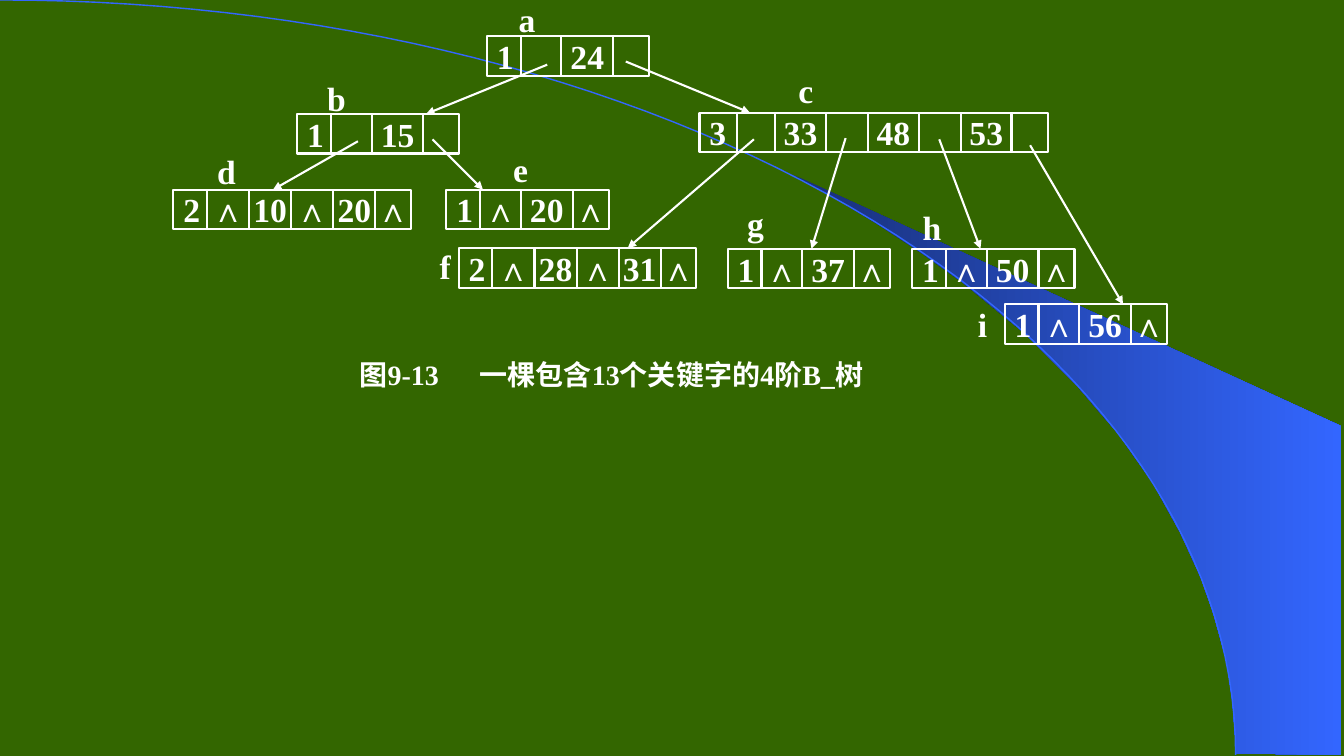
import math
from itertools import accumulate
from lxml import etree
from pptx import Presentation
from pptx import util as u
from pptx.dml.color import RGBColor
from pptx.enum import shapes, text
from pptx.oxml.ns import qn

WHITE, GREEN, NAVY, BLUE = "FFFFFF", "336600", "182F76", "3366FF"
LATIN, CJK = "Times New Roman", "Noto Sans CJK SC"
ROW_H, INSET = 1.0, 0.25

ONE_KEY = [0.85, 1.03, 1.3, 0.91]
TWO_KEYS = [0.85, 1.06, 1.06, 1.06, 1.06, 0.9]
THREE_KEYS = [0.94, 0.97, 1.27, 1.07, 1.27, 1.07, 1.27, 0.93]

NODES = {
    "a": (12.27, 0.91, ONE_KEY, ["1", "", "24", ""], (0.51, -0.94)),
    "b": (7.49, 2.87, ONE_KEY, ["1", "", "15", ""], (0.49, -0.91)),
    "c": (17.63, 2.84, THREE_KEYS, ["3", "", "33", "", "48", "", "53", ""], (2.18, -1.06)),
    "d": (4.37, 4.78, TWO_KEYS, ["2", "∧", "10", "∧", "20", "∧"], (0.84, -0.97)),
    "e": (11.25, 4.78, ONE_KEY, ["1", "∧", "20", "∧"], (1.37, -1.02)),
    "f": (11.56, 6.25, TWO_KEYS, ["2", "∧", "28", "∧", "31", "∧"], (-0.84, -0.05)),
    "g": (18.34, 6.27, ONE_KEY, ["1", "∧", "37", "∧"], (0.2, -1.14)),
    "h": (22.99, 6.27, ONE_KEY, ["1", "∧", "50", "∧"], (0, -1.06)),
    "i": (25.32, 7.67, ONE_KEY, ["1", "∧", "56", "∧"], (-1.06, 0)),
}

POINTERS = [
    ("a", 1.52, 0.72, "b", 3.25),
    ("a", 3.5, 0.64, "c", 1.27),
    ("b", 1.53, 0.69, "d", 2.51),
    ("b", 3.41, 0.64, "e", 0.92),
    ("c", 1.37, 0.67, "f", 4.26),
    ("c", 3.68, 0.64, "g", 2.11),
    ("c", 6.04, 0.67, "h", 1.72),
    ("c", 8.33, 0.82, "i", 2.98),
]

WEDGE = [
    (11.2, 14.6), (13.84, 14.63), (13.84, 6.35), (0, 0), (1.17, 0.66),
    (2.13, 1.24), (3.23, 1.96), (4.29, 2.72), (5.84, 3.99), (7.21, 5.36),
    (8.23, 6.55), (9.09, 7.77), (9.78, 9.02), (10.29, 10.13),
    (10.62, 11.07), (10.95, 12.27), (11.1, 13.28),
]


def rgb(value):
    return RGBColor.from_string(value)


def freeform(s, x, y, points, close):
    pts = [(u.Cm(x + px), u.Cm(y + py)) for px, py in points]
    builder = s.shapes.build_freeform(*pts[0])
    builder.add_line_segments(pts[1:], close=close)
    sp = builder.convert_to_shape()
    sp.shadow.inherit = False
    return sp


def backdrop(s, x, y, w, h):
    s.background.fill.solid()
    s.background.fill.fore_color.rgb = rgb(GREEN)

    wedge = freeform(s, x + 19.96, y + 4.39, WEDGE, True)
    wedge.line.fill.background()
    wedge.fill.gradient()
    wedge.fill.gradient_angle = 0
    for stop, position, color in zip(wedge.fill.gradient_stops, (0, 1), (NAVY, BLUE)):
        stop.position = position
        stop.color.rgb = rgb(color)

    steps = 60
    angles = [math.pi / 2 * i / steps for i in range(steps + 1)]
    arc = freeform(s, x, y, [(w * math.sin(t), h * (1 - math.cos(t))) for t in angles], False)
    arc.fill.background()
    arc.line.color.rgb = rgb(BLUE)
    arc.line.width = u.Pt(1)


def add_tabs(p, stops):
    tabs = etree.SubElement(p._p.get_or_add_pPr(), qn("a:tabLst"))
    for position, align in stops:
        etree.SubElement(tabs, qn("a:tab"), pos=str(u.Cm(position)), algn=align)


def add_run(p, words, size, font=LATIN):
    r = p.add_run()
    r.text = words
    r.font.size = u.Pt(size)
    r.font.bold = True
    r.font.name = font
    r.font.color.rgb = rgb(WHITE)
    return r


def prepare_text(sp, left, wrap=True):
    tf = sp.text_frame
    tf.word_wrap = wrap
    tf.vertical_anchor = text.MSO_ANCHOR.MIDDLE
    tf.margin_left = u.Cm(left)
    tf.margin_right = tf.margin_top = tf.margin_bottom = 0
    return tf.paragraphs[0]


def line(s, x1, y1, x2, y2, arrow=False):
    cx = s.shapes.add_connector(shapes.MSO_CONNECTOR.STRAIGHT, *map(u.Cm, (x1, y1, x2, y2)))
    cx.line.color.rgb = rgb(WHITE)
    cx.line.width = u.Pt(1.5)
    if arrow:
        etree.SubElement(cx.line._get_or_add_ln(), qn("a:tailEnd"), type="triangle")
    etree.SubElement(cx._element.spPr, qn("a:effectLst"))


def node(s, x, y, widths, cells, name, label_at):
    edges = [0, *accumulate(widths)]
    box = map(u.Cm, (x, y, edges[-1], ROW_H))
    sp = s.shapes.add_shape(shapes.MSO_SHAPE.RECTANGLE, *box)
    sp.shadow.inherit = False
    sp.fill.background()
    sp.line.color.rgb = rgb(WHITE)
    sp.line.width = u.Pt(1.5)
    p = prepare_text(sp, INSET)
    p.alignment = text.PP_ALIGN.LEFT
    centres = [(a + b) / 2 - INSET for a, b in zip(edges, edges[1:])]
    add_tabs(p, [(c, "ctr") for c, cell in zip(centres[1:], cells[1:]) if cell])
    add_run(p, "\t".join(filter(None, cells)), 24)
    for edge in edges[1:-1]:
        line(s, x + edge, y, x + edge, y + ROW_H)

    dx, dy = label_at
    sp = s.shapes.add_textbox(*map(u.Cm, (x + dx, y + dy, ROW_H, ROW_H)))
    p = prepare_text(sp, 0, False)
    p.alignment = text.PP_ALIGN.CENTER
    add_run(p, name, 24)


def caption(s, x, y, w, h):
    sp = s.shapes.add_textbox(*map(u.Cm, (x, y, w, h)))
    p = prepare_text(sp, INSET)
    add_tabs(p, [(3.03, "l")])
    for words, font in (("图", CJK), ("9-13\t一棵包含13个关键字的4阶B_树", LATIN)):
        r = add_run(p, words, 20, font)
        etree.SubElement(r.font._element, qn("a:ea"), typeface=CJK)


def tree(s):
    for name, (x, y, widths, cells, label_at) in NODES.items():
        node(s, x, y, widths, cells, name, label_at)
    for parent, dx, dy, child, tip in POINTERS:
        px, py = NODES[parent][:2]
        cx, cy = NODES[child][:2]
        line(s, px + dx, py + dy, cx + tip, cy, arrow=True)


def main():
    prs = Presentation()
    prs.slide_width, prs.slide_height = u.Cm(33.87), u.Cm(19.05)
    s = prs.slides.add_slide(prs.slide_layouts[6])
    backdrop(s, 0, 0, 31.14, 19.02)
    tree(s)
    caption(s, 8.81, 8.92, 14.22, ROW_H)
    prs.save("out.pptx")


if __name__ == "__main__":
    main()
